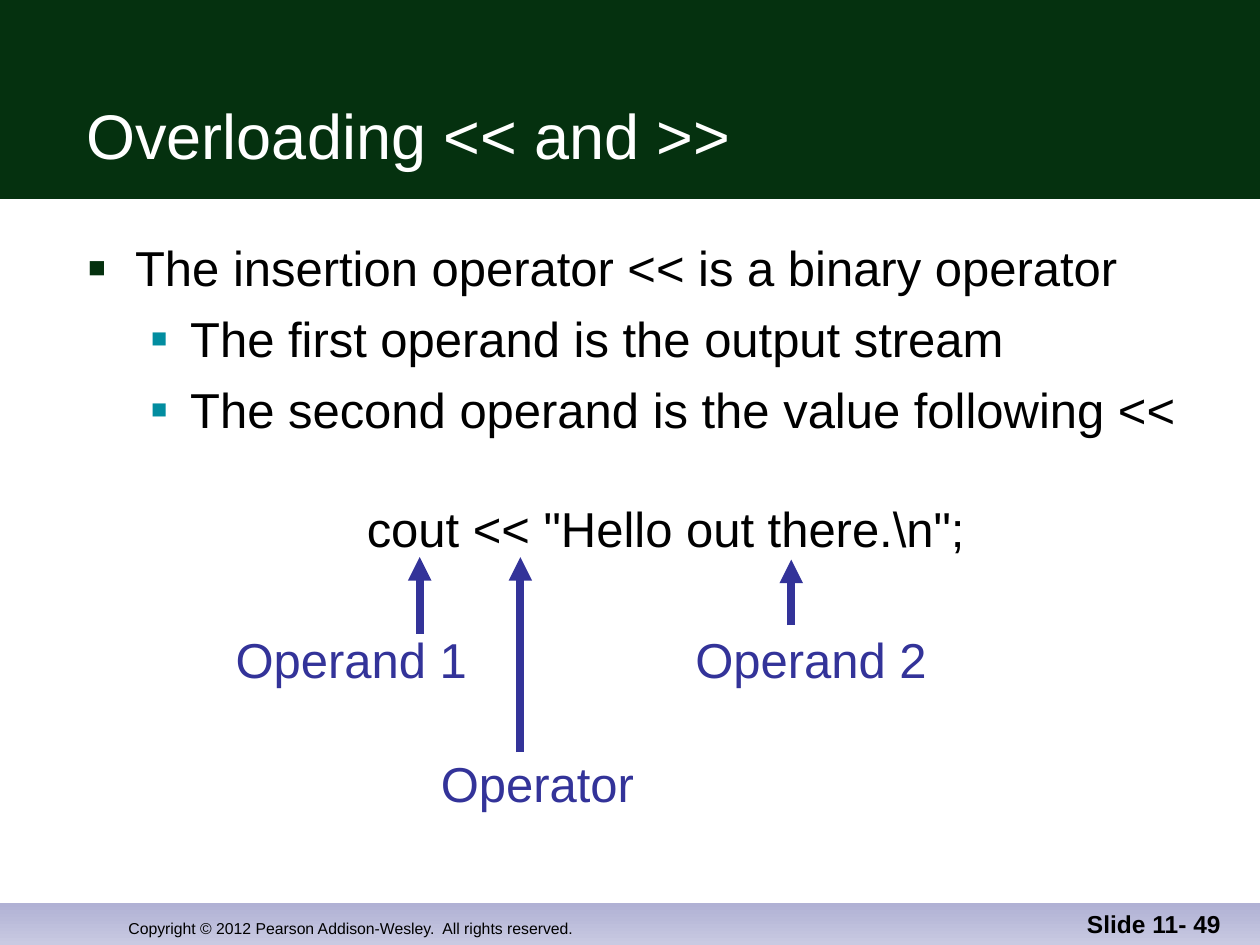
from dataclasses import dataclass

from lxml import etree
from pptx import Presentation
from pptx import util as u
from pptx.dml.color import RGBColor
from pptx.enum import shapes, text
from pptx.oxml.ns import qn


@dataclass(frozen=True)
class Theme:
    font: str = "Arial"
    green: str = "05310F"
    teal: str = "028DA0"
    indigo: str = "333399"
    black: str = "000000"
    white: str = "FFFFFF"
    strip_top: str = "B0B1D4"
    strip_bottom: str = "C9CAE2"
    title_size: float = 36
    body_size: float = 28
    number_size: float = 14
    copyright_size: float = 9
    arrow_width: float = 4.5


THEME = Theme()


def apply_format(target, values):
    for name, value in values.items():
        setattr(target, name, value)


def place(shape, box):
    names = ("left", "top", "width", "height")
    apply_format(shape, dict(zip(names, map(u.Cm, box))))


def write(paragraph, words, size, color, bold=False):
    run = paragraph.add_run()
    run.text = words
    apply_format(run.font, {"name": THEME.font, "size": u.Pt(size), "bold": bold})
    run.font.color.rgb = RGBColor.from_string(color)


def add_bar(slide, box):
    shape = slide.shapes.add_shape(shapes.MSO_SHAPE.RECTANGLE, *map(u.Cm, box))
    shape.shadow.inherit = False
    shape.line.fill.background()
    return shape


def add_background(slide):
    strip = add_bar(slide, (0, 18.21, 25.4, 0.84))
    strip.fill.gradient()
    strip.fill.gradient_angle = 270
    for stop, color in zip(strip.fill.gradient_stops, (THEME.strip_top, THEME.strip_bottom)):
        stop.color.rgb = RGBColor.from_string(color)
    band = add_bar(slide, (0, 0, 25.4, 4.01))
    band.fill.solid()
    band.fill.fore_color.rgb = RGBColor.from_string(THEME.green)


def add_label(slide, words, box, size, color, alignment, anchor, margin=0.25, bold=False):
    frame = slide.shapes.add_textbox(*map(u.Cm, box)).text_frame
    apply_format(frame, {
        "word_wrap": True,
        "vertical_anchor": anchor,
        "margin_left": u.Cm(margin),
        "margin_right": u.Cm(margin),
    })
    paragraph = frame.paragraphs[0]
    paragraph.alignment = alignment
    write(paragraph, words, size, color, bold)


def add_arrow(slide, x, bottom, top):
    points = map(u.Cm, (x, bottom, x, top))
    arrow = slide.shapes.add_connector(shapes.MSO_CONNECTOR.STRAIGHT, *points)
    arrow.line.width = u.Pt(THEME.arrow_width)
    arrow.line.color.rgb = RGBColor.from_string(THEME.indigo)
    etree.SubElement(arrow.line._get_or_add_ln(), qn("a:tailEnd"), type="triangle")
    etree.SubElement(arrow._element.spPr, qn("a:effectLst"))


def set_bullet(paragraph, margin, hanging, color=None, percent=100):
    properties = paragraph._p.get_or_add_pPr()
    properties.set("marL", str(u.Cm(margin)))
    properties.set("indent", str(u.Cm(-hanging)))
    if color is None:
        etree.SubElement(properties, qn("a:buNone"))
        return
    bullet_color = etree.SubElement(properties, qn("a:buClr"))
    etree.SubElement(bullet_color, qn("a:srgbClr"), val=color)
    etree.SubElement(properties, qn("a:buSzPct"), val=str(percent * 1000))
    etree.SubElement(properties, qn("a:buFont"), typeface=THEME.font)
    etree.SubElement(properties, qn("a:buChar"), char="■")


def fill_title(slide, words):
    title = slide.shapes.title
    place(title, (1.49, 0.82, 23.06, 2.77))
    apply_format(title.text_frame, {
        "auto_size": text.MSO_AUTO_SIZE.NONE,
        "vertical_anchor": text.MSO_ANCHOR.BOTTOM,
    })
    paragraph = title.text_frame.paragraphs[0]
    paragraph.alignment = text.PP_ALIGN.LEFT
    write(paragraph, words, THEME.title_size, THEME.white)


def fill_body(slide, items):
    body = slide.placeholders[1]
    place(body, (1.52, 4.66, 23.04, 12.69))
    frame = body.text_frame
    apply_format(frame, {"auto_size": text.MSO_AUTO_SIZE.NONE, "margin_right": 0})
    for index, (words, level, space, bullet) in enumerate(items):
        paragraph = frame.add_paragraph() if index else frame.paragraphs[0]
        set_bullet(paragraph, *bullet)
        apply_format(paragraph, {"level": level, "space_before": u.Pt(space)})
        write(paragraph, words, THEME.body_size, THEME.black)


def main():
    presentation = Presentation()
    presentation.slide_width = u.Cm(25.4)
    presentation.slide_height = u.Cm(19.05)
    slide = presentation.slides.add_slide(presentation.slide_layouts[1])
    tree = slide.shapes._spTree
    placeholders = [shape._element for shape in slide.placeholders]
    add_background(slide)
    for element in placeholders:
        tree.append(element)

    fill_title(slide, "Overloading << and >>")
    first_bullet = (0.95, 0.95, THEME.green, 60)
    second_bullet = (2.06, 0.79, THEME.teal, 55)
    fill_body(slide, [
        ("The insertion operator << is a binary operator", 0, 0, first_bullet),
        ("The first operand is the output stream", 1, 7, second_bullet),
        ("The second operand is the value following <<", 1, 7, second_bullet),
        ('cout << "Hello out there.\\n";', 1, 34.5, (5.62, 0)),
    ])

    align, anchor = text.PP_ALIGN, text.MSO_ANCHOR
    add_label(slide, "Copyright © 2012 Pearson Addison-Wesley.  All rights reserved.",
              (2.34, 17.76, 12.5, 1.27), THEME.copyright_size, THEME.black,
              align.LEFT, anchor.BOTTOM)
    add_label(slide, "Slide 11- 49", (19.58, 17.78, 5.28, 1.27), THEME.number_size,
              THEME.black, align.RIGHT, anchor.BOTTOM, bold=True)

    callouts = [
        ("Operand 1", (4.5, 12.57, 5.16, 1.45), (8.46, 12.78, 11.23)),
        ("Operator", (8.64, 15.06, 4.39, 1.45), (10.49, 15.16, 11.23)),
        ("Operand 2", (13.77, 12.57, 5.16, 1.45), (15.95, 12.6, 11.28)),
    ]
    for words, box, arrow in callouts:
        add_label(slide, words, box, THEME.body_size, THEME.indigo,
                  align.CENTER, anchor.TOP, margin=0)
        add_arrow(slide, *arrow)

    presentation.save("out.pptx")


if __name__ == "__main__":
    main()
